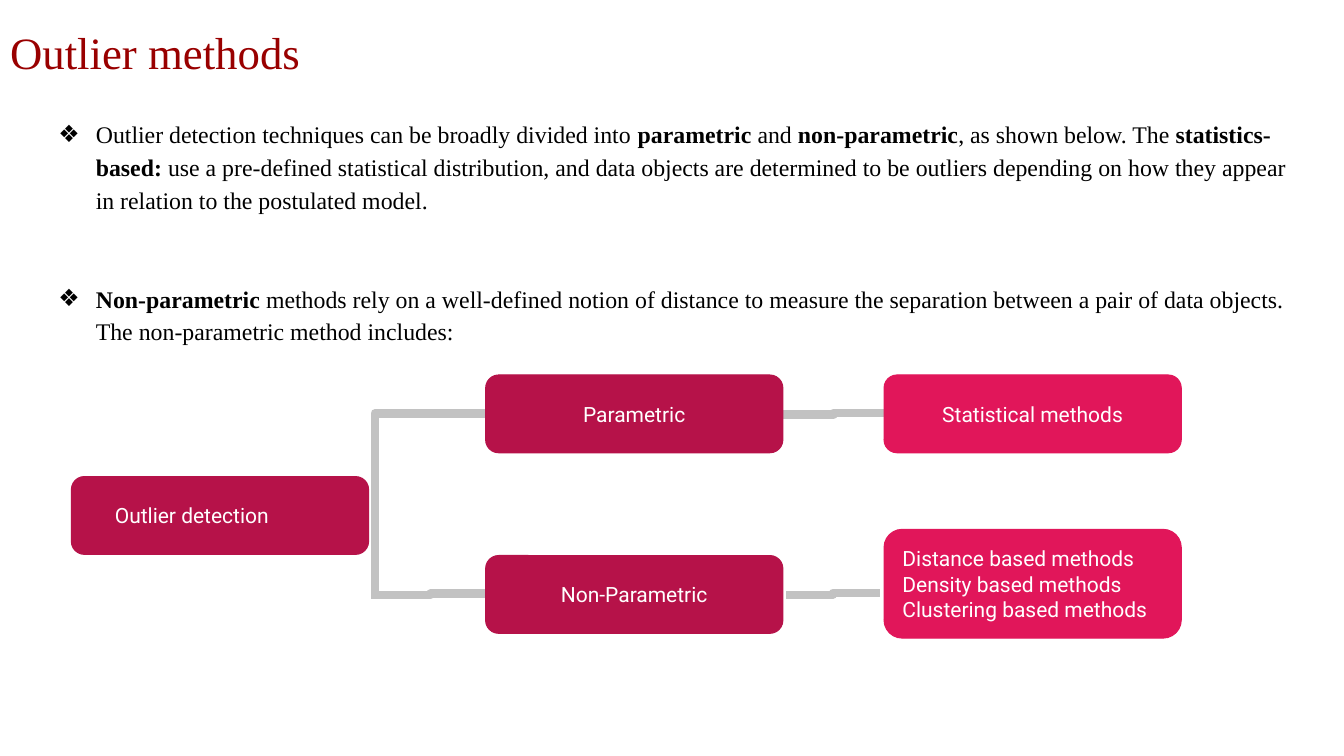
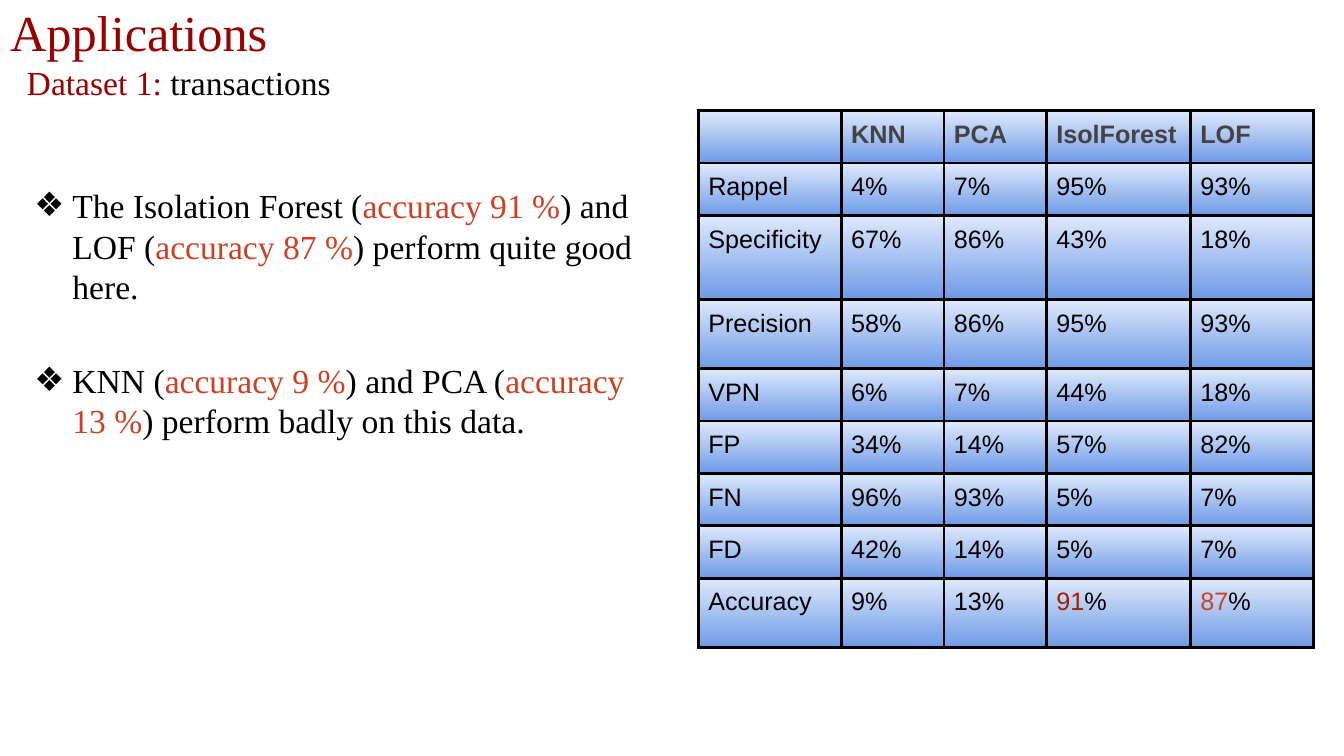
from lxml import etree
from pptx import Presentation
from pptx.dml.color import RGBColor
from pptx.enum.shapes import MSO_CONNECTOR, MSO_SHAPE
from pptx.enum.text import MSO_ANCHOR, MSO_AUTO_SIZE, PP_ALIGN
from pptx.oxml import parse_xml
from pptx.oxml.ns import nsdecls, qn
from pptx.util import Cm, Pt

HUES = {
    "title": "990000", "text": "000000", "accent": "CC4125", "best": "A61C00",
    "dark": "B61249", "light": "E1165A", "line": "C2C2C2", "white": "FFFFFF",
    "head": "434343", "top": "DFE9FB", "base": "6E9BE7",
}
SERIF = "Times New Roman"


def rgb(name):
    return RGBColor.from_string(HUES[name])


def write(par, text, size, hue, font=SERIF, bold=False, mark=None):
    """Parts between bars take the mark colour, or bold if there is none."""
    for i, part in enumerate(text.split("|")):
        if not part:
            continue
        run = par.add_run()
        run.text = part
        odd = i % 2 == 1
        run.font.name = font
        run.font.size = Pt(size)
        run.font.bold = bold or (odd and mark is None)
        run.font.color.rgb = rgb(mark if odd and mark else hue)


deck = Presentation()
deck.slide_width, deck.slide_height = Cm(33.87), Cm(19.05)

# Shared title place, set once on the layout
layout = deck.slide_layouts[1]
head = layout.placeholders[0]
head.left, head.top, head.width, head.height = Cm(0), Cm(0), Cm(24.28), Cm(2.6)

# Titles and bullet lists
pages = [
    {
        "title": [("Outlier methods", 32, 0)],
        "box": (0.89, 2.79, 32.2, 6.65),
        "size": 17, "mark": None, "space": 1.15, "gap": 47,
        "left": 1.27, "hang": 0.94,
        "list": [
            "Outlier detection techniques can be broadly divided into |parametric| and "
            "|non-parametric|, as shown below. The |statistics-based:| use a pre-defined "
            "statistical distribution, and data objects are determined to be outliers "
            "depending on how they appear in relation to the postulated model.",
            "|Non-parametric| methods rely on a well-defined notion of distance to measure "
            "the separation between a pair of data objects. The non-parametric method "
            "includes:",
        ],
    },
    {
        "title": [("Applications", 36, 0), ("Dataset 1: |transactions", 24, 0.42)],
        "box": (0.61, 4.54, 16.2, 12.28),
        "size": 24, "mark": "accent", "space": 1, "gap": 38.4,
        "left": 0.96, "hang": 0.96,
        "list": [
            "The Isolation Forest (|accuracy 91 %|) and LOF (|accuracy 87 %|) "
            "perform quite good here.",
            "KNN (|accuracy 9 %|) and PCA (|accuracy 13 %|) perform badly on this data.",
        ],
    },
]
slides = []
for page in pages:
    slide = deck.slides.add_slide(layout)
    slides.append(slide)

    frame = slide.shapes.title.text_frame
    frame.auto_size = MSO_AUTO_SIZE.NONE
    frame.vertical_anchor = MSO_ANCHOR.MIDDLE
    for i, (text, size, left) in enumerate(page["title"]):
        par = frame.add_paragraph() if i else frame.paragraphs[0]
        par.alignment = PP_ALIGN.LEFT
        par._p.get_or_add_pPr().set("marL", str(Cm(left)))
        write(par, text, size, "title", mark="text")

    body = slide.placeholders[1]
    body.left, body.top, body.width, body.height = map(Cm, page["box"])
    frame = body.text_frame
    frame.auto_size = MSO_AUTO_SIZE.NONE
    for i, text in enumerate(page["list"]):
        par = frame.add_paragraph() if i else frame.paragraphs[0]
        par.line_spacing = page["space"]
        par.space_before = Pt(page["gap"] if i else 0)
        props = par._p.get_or_add_pPr()
        props.set("marL", str(Cm(page["left"])))
        props.set("indent", str(-Cm(page["hang"])))
        tint = etree.SubElement(props, qn("a:buClr"))
        etree.SubElement(tint, qn("a:srgbClr")).set("val", HUES["text"])
        etree.SubElement(props, qn("a:buChar")).set("char", "❖")
        write(par, text, page["size"], "text", mark=page["mark"])

tree, results = slides

# Tree lines, drawn behind the boxes
links = [
    (9.47, 14.99, 12.24, 14.96),
    (19.81, 14.99, 22.17, 14.94),
    (19.74, 10.45, 22.28, 10.41),
    (8.51, 11.35, 13.18, 14.15),
]
for ends in links:
    link = tree.shapes.add_connector(MSO_CONNECTOR.ELBOW, *map(Cm, ends))
    link.line.color.rgb = rgb("line")
    link.line.width = Pt(6)
    etree.SubElement(link._element.spPr, qn("a:effectLst"))
# The last link is a single corner, turned to rise from the root
form = link._element.spPr
form.find(qn("a:prstGeom")).set("prst", "bentConnector2")
form.find(qn("a:xfrm")).set("rot", str(270 * 60000))

# Tree boxes: left, top, height, fill, alignment, indent, text
boxes = [
    (1.8, 12.01, 1.96, "dark", PP_ALIGN.LEFT, 0.67, "Outlier detection"),
    (12.24, 9.45, 1.96, "dark", PP_ALIGN.CENTER, 0, "Parametric"),
    (12.24, 14, 1.96, "dark", PP_ALIGN.CENTER, 0, "Non-Parametric"),
    (22.28, 9.45, 1.96, "light", PP_ALIGN.CENTER, 0, "Statistical methods"),
    (22.28, 13.34, 2.74, "light", PP_ALIGN.LEFT, 0,
     "Distance based methods\nDensity based methods\nClustering based methods"),
]
for left, top, high, hue, align, inset, text in boxes:
    box = tree.shapes.add_shape(
        MSO_SHAPE.ROUNDED_RECTANGLE, Cm(left), Cm(top), Cm(7.49), Cm(high))
    box.shadow.inherit = False
    box.fill.solid()
    box.fill.fore_color.rgb = rgb(hue)
    box.line.color.rgb = rgb(hue)
    box.line.width = Pt(0.75)
    frame = box.text_frame
    frame.vertical_anchor = MSO_ANCHOR.MIDDLE
    frame.margin_left = frame.margin_right = Cm(0.33)
    frame.margin_top = frame.margin_bottom = Cm(0.33)
    for i, line in enumerate(text.split("\n")):
        par = frame.add_paragraph() if i else frame.paragraphs[0]
        par.alignment = align
        par._p.get_or_add_pPr().set("marL", str(Cm(inset)))
        write(par, line, 15, "white", font="Roboto")

# Table of results
rows = [
    ["", "KNN", "PCA", "IsolForest", "LOF"],
    ["Rappel", "4%", "7%", "95%", "93%"],
    ["Specificity", "67%", "86%", "43%", "18%"],
    ["Precision", "58%", "86%", "95%", "93%"],
    ["VPN", "6%", "7%", "44%", "18%"],
    ["FP", "34%", "14%", "57%", "82%"],
    ["FN", "96%", "93%", "5%", "7%"],
    ["FD", "42%", "14%", "5%", "7%"],
    ["Accuracy", "9%", "13%", "|91|%", "|87|%"],
]
wides = [3.6, 2.59, 2.58, 3.63, 3.1]
highs = [1.32, 1.32, 2.11, 1.75, 1.32, 1.32, 1.32, 1.32, 1.75]
grid = results.shapes.add_table(
    len(rows), len(wides), Cm(17.6), Cm(2.79), Cm(sum(wides)), Cm(sum(highs))).table
grid.first_row = grid.horz_banding = False
for col, wide in zip(grid.columns, wides):
    col.width = Cm(wide)
for r, row in enumerate(rows):
    grid.rows[r].height = Cm(highs[r])
    for c, text in enumerate(row):
        cell = grid.cell(r, c)
        cell.margin_left = cell.margin_right = Cm(0.25)
        cell.margin_top = cell.margin_bottom = Cm(0.25)
        cell.fill.gradient()
        cell.fill.gradient_angle = 270
        for stop, hue, spot in zip(cell.fill.gradient_stops, ("top", "base"), (0, 1)):
            stop.color.rgb = rgb(hue)
            stop.position = spot
        for i, side in enumerate(("lnL", "lnR", "lnT", "lnB")):
            edge = parse_xml(
                f'<a:{side} {nsdecls("a")} w="{Pt(2.25)}"><a:solidFill>'
                f'<a:srgbClr val="{HUES["text"]}"/></a:solidFill></a:{side}>')
            cell._tc.get_or_add_tcPr().insert(i, edge)
        write(cell.text_frame.paragraphs[0], text, 18, "text" if r else "head",
              font="Arial", bold=r == 0, mark="best" if c == 3 else "accent")

deck.save("out.pptx")
